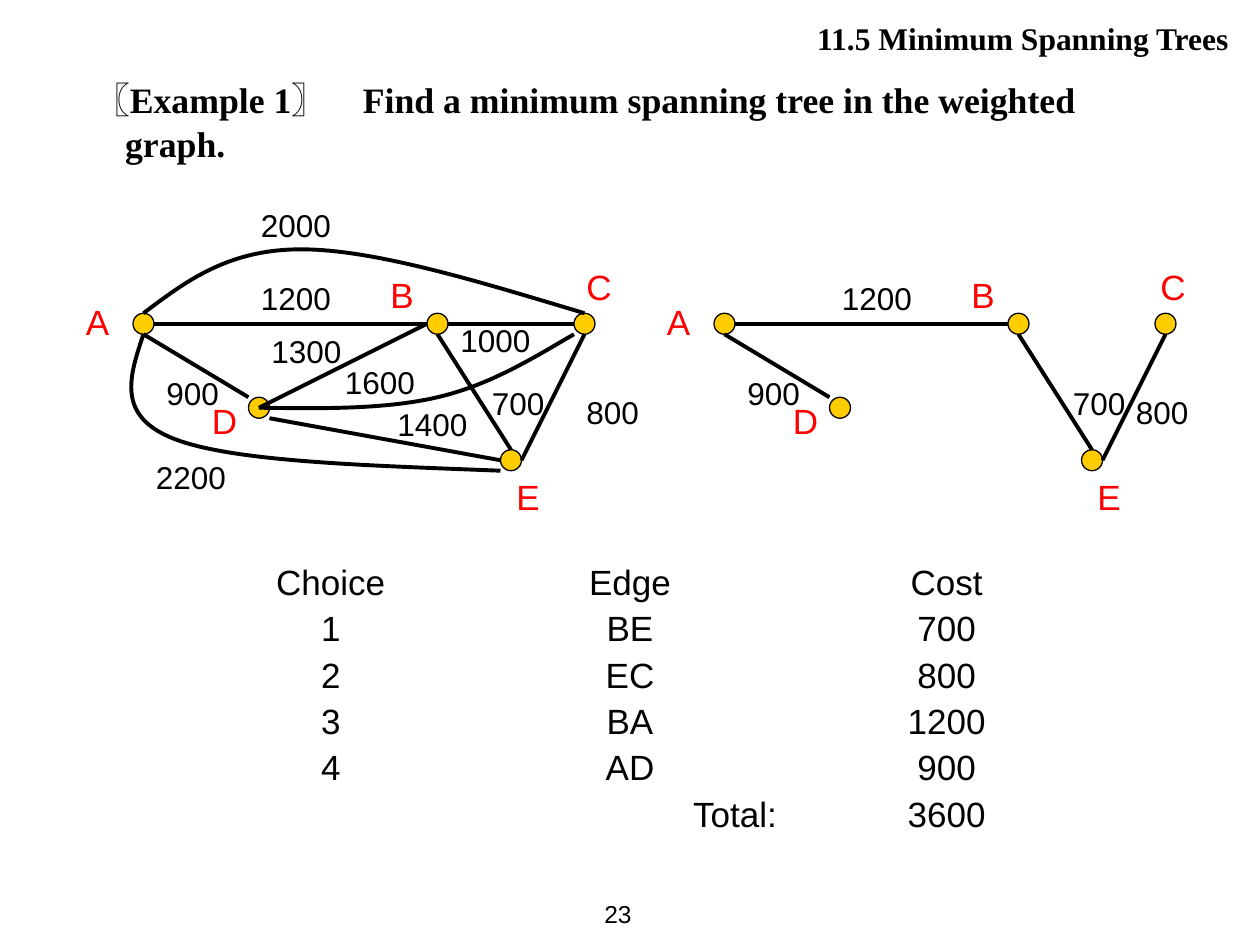
from lxml import etree
from pptx import Presentation
from pptx.dml.color import RGBColor
from pptx.enum.shapes import MSO_CONNECTOR, MSO_SHAPE
from pptx.enum.text import MSO_ANCHOR, PP_ALIGN
from pptx.oxml.ns import qn
from pptx.util import Pt

STRAIGHT, ELLIPSE = MSO_CONNECTOR.STRAIGHT, MSO_SHAPE.OVAL
MIDDLE = MSO_ANCHOR.MIDDLE
LEFT, CENTER, RIGHT = PP_ALIGN.LEFT, PP_ALIGN.CENTER, PP_ALIGN.RIGHT
BLACK = RGBColor(0, 0, 0)
RED = RGBColor(0xFF, 0, 0)
GOLD = RGBColor(0xFF, 0xCC, 0)
SANS, SERIF = "Arial", "Times New Roman"

SECTION = "11.5 Minimum Spanning Trees"
EXAMPLE = "〖Example 1〗　Find a minimum spanning tree in the weighted graph."
PAGE = "23"

RADIUS = 6
NODES = {"A": (82, 185), "B": (250, 185), "C": (334, 185),
         "E": (292, 263), "D": (148, 233)}
# Each end is a node and the direction, in radii, from its centre.
EDGES = {
    "AB": (("A", 1, 0), ("B", -1, 0)),
    "BC": (("B", 1, 0), ("C", -1, 0)),
    "AD": (("A", 0, 1), ("D", -1, -1)),
    "DE": (("D", 1, 1), ("E", -1, 0)),
    "EC": (("E", 1, 0), ("C", 0, 1)),
    "BE": (("B", 0, 1), ("E", 0, -1)),
    "DB": (("D", 0, 0), ("B", -1, 0)),
}
# Start point, then two control points and an end point per Bezier piece.
CURVES = [
    [(82, 179), (106, 161), (130, 142.5), (172, 142.5),
     (214, 142.5), (274, 161), (334, 179)],
    [(82, 191), (74, 215), (66, 238), (100, 251),
     (134, 264), (210, 266), (286, 269)],
    [(148, 233), (184, 233.5), (220, 234), (250, 227),
     (280, 220), (304, 205), (328, 191)],
]
NODE_LABELS = {"A": (42, 168), "B": (216, 153), "C": (328, 148),
               "D": (114, 225), "E": (288, 268)}
WEIGHTS = {"2000": (142, 114), "1200": (142, 156), "1000": (256, 180),
           "900": (88, 210), "1300": (148, 186), "1600": (190, 204),
           "1400": (220, 228), "700": (274, 216), "800": (328, 221),
           "2200": (82, 258)}

TREE_SHIFT = 332
TREE_EDGES = ["AB", "AD", "EC", "BE"]
TREE_NODE_LABELS = {**NODE_LABELS, "C": (324, 148)}
TREE_WEIGHTS = {"1200": (142, 156), "900": (88, 210),
                "700": (274, 216), "800": (310, 221)}

CHOICES = [
    ("Choice", "Edge", "Cost"),
    ("1", "BE", "700"),
    ("2", "EC", "800"),
    ("3", "BA", "1200"),
    ("4", "AD", "900"),
    ("", "Total:", "3600"),
]
COLUMN_WIDTHS = [78, 264, 98]
ROW_HEIGHT = 26.5
TOTAL_INSET = 48

prs = Presentation()
prs.slide_width, prs.slide_height = Pt(720), Pt(540)
slide = prs.slides.add_slide(prs.slide_layouts[6])
shapes = slide.shapes


def style(paragraph, size, color=BLACK, face=SANS, bold=False, align=LEFT):
    paragraph.alignment = align
    font = paragraph.font
    font.size, font.name, font.bold = Pt(size), face, bold
    font.color.rgb = color


def add_text(text, x, y, width, height, size, **look):
    frame = shapes.add_textbox(Pt(x), Pt(y), Pt(width), Pt(height)).text_frame
    frame.word_wrap = True
    frame.text = text
    style(frame.paragraphs[0], size, **look)
    return frame


def set_line(shape, width):
    shape.line.color.rgb = BLACK
    shape.line.width = Pt(width)


def add_node(x, y):
    node = shapes.add_shape(ELLIPSE, Pt(x - RADIUS), Pt(y - RADIUS),
                            Pt(2 * RADIUS), Pt(2 * RADIUS))
    node.shadow.inherit = False
    node.fill.solid()
    node.fill.fore_color.rgb = GOLD
    set_line(node, 0.75)


def add_edge(ends, shift):
    points = []
    for name, dx, dy in ends:
        x, y = NODES[name]
        points += [Pt(x + shift + dx * RADIUS), Pt(y + dy * RADIUS)]
    edge = shapes.add_connector(STRAIGHT, *points)
    set_line(edge, 2.25)
    etree.SubElement(edge._element.spPr, qn("a:effectLst"))


def add_curve(points):
    """Draw a freeform and turn each three segments into one Bezier piece."""
    start, *rest = [(Pt(x), Pt(y)) for x, y in points]
    builder = shapes.build_freeform(*start)
    builder.add_line_segments(rest, close=False)
    curve = builder.convert_to_shape()
    outline = curve._element.spPr.find(".//" + qn("a:path"))
    segments = outline.findall(qn("a:lnTo"))
    for first in range(0, len(segments), 3):
        bezier = etree.SubElement(outline, qn("a:cubicBezTo"))
        for segment in segments[first:first + 3]:
            bezier.append(segment[0])
            outline.remove(segment)
    curve.fill.background()
    curve.shadow.inherit = False
    set_line(curve, 2.25)


def add_graph(edges, curves, weights, node_labels, shift=0):
    for x, y in NODES.values():
        add_node(x + shift, y)
    for edge in edges:
        add_edge(EDGES[edge], shift)
    for curve in curves:
        add_curve(curve)
    for weight, (x, y) in weights.items():
        add_text(weight, x + shift, y, 60, 29, 18)
    for name, (x, y) in node_labels.items():
        add_text(name, x + shift, y, 36, 32, 20, color=RED)


def add_choices(x, y):
    table_frame = shapes.add_table(
        len(CHOICES), len(COLUMN_WIDTHS), Pt(x), Pt(y),
        Pt(sum(COLUMN_WIDTHS)), Pt(ROW_HEIGHT * len(CHOICES)))
    table = table_frame.table
    table.first_row = table.horz_banding = False
    # The "No Style, No Grid" table style
    table._tbl.tblPr.find(qn("a:tableStyleId")).text = \
        "{2D5ABB26-0587-4C30-8999-92F81FD0307C}"
    for column, width in zip(table.columns, COLUMN_WIDTHS):
        column.width = Pt(width)
    for r, row in enumerate(CHOICES):
        table.rows[r].height = Pt(ROW_HEIGHT)
        for c, text in enumerate(row):
            cell = table.cell(r, c)
            cell.fill.background()
            cell.margin_top = cell.margin_bottom = 0
            cell.vertical_anchor = MIDDLE
            cell.text = text
            style(cell.text_frame.paragraphs[0], 20, align=CENTER)
    total = table.cell(len(CHOICES) - 1, 1)
    total.margin_right = Pt(TOTAL_INSET)
    total.text_frame.paragraphs[0].alignment = RIGHT


page = add_text(PAGE, 320, 504, 48, 36, 14, align=RIGHT)
page.vertical_anchor = MIDDLE

add_choices(150, 320)
add_graph(EDGES, CURVES, WEIGHTS, NODE_LABELS)
add_graph(TREE_EDGES, [], TREE_WEIGHTS, TREE_NODE_LABELS, TREE_SHIFT)

example = add_text(EXAMPLE, 37, 43, 635, 51, 20.4, face=SERIF, bold=True)
example.margin_top = Pt(1)
example_line = example.paragraphs[0]
example_line.line_spacing = Pt(25)
indents = example_line._p.get_or_add_pPr()
indents.set("marL", str(Pt(27.4)))
indents.set("indent", str(Pt(-17.7)))

section = add_text(SECTION, 287, 0, 427, 36, 18, face=SERIF, bold=True, align=RIGHT)
section.margin_top, section.margin_right = Pt(11), Pt(12)

prs.save("out.pptx")
